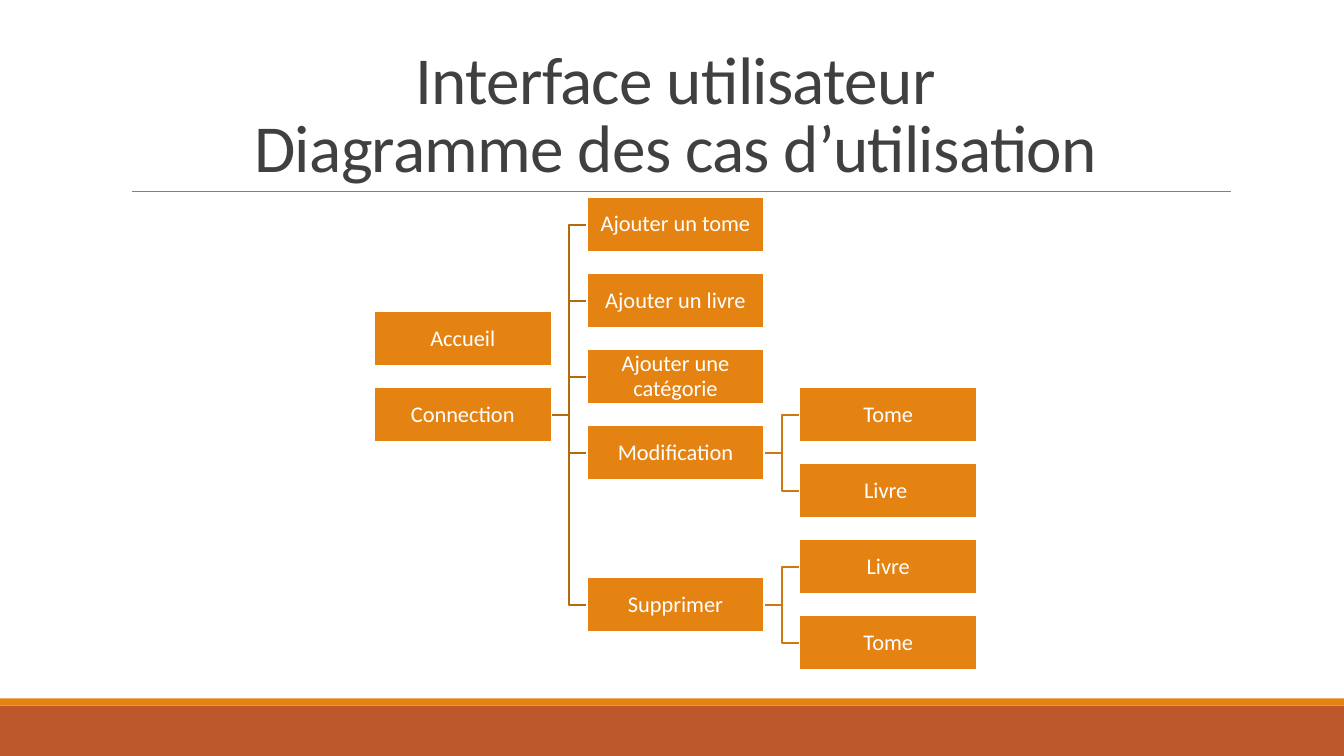
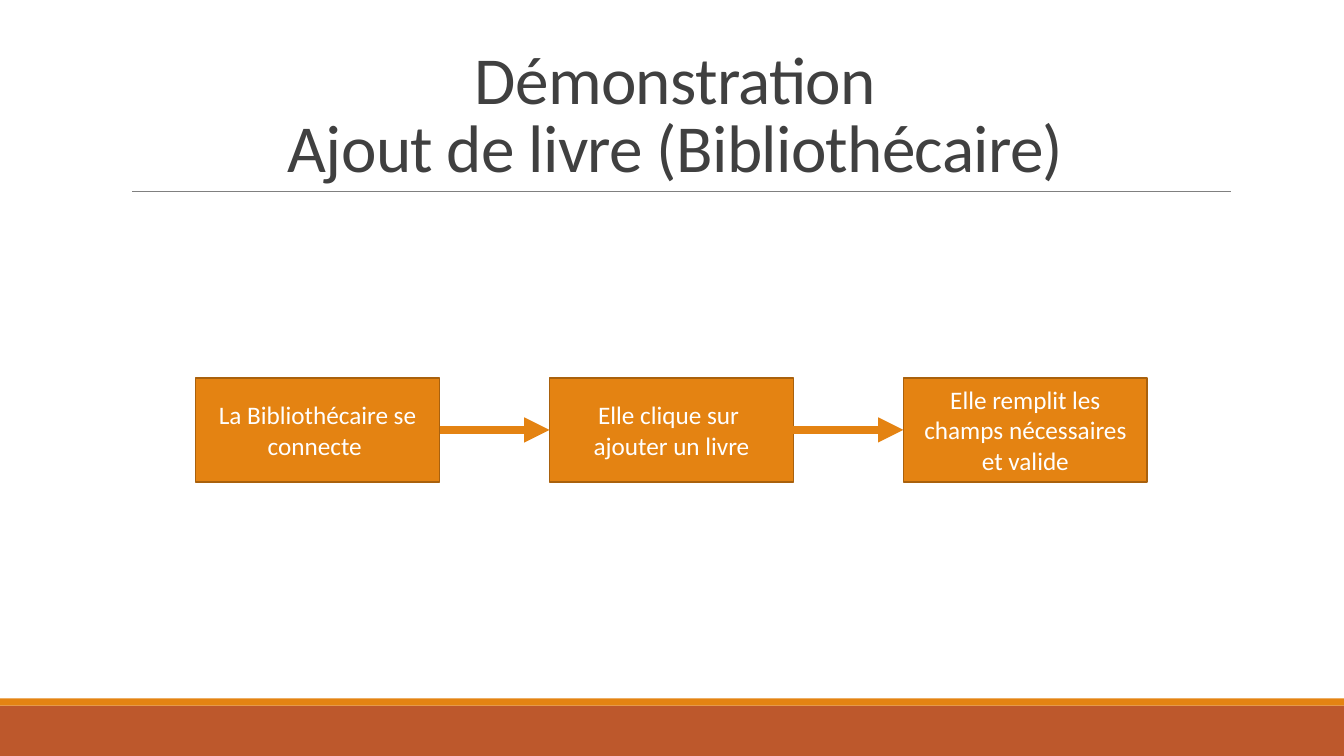
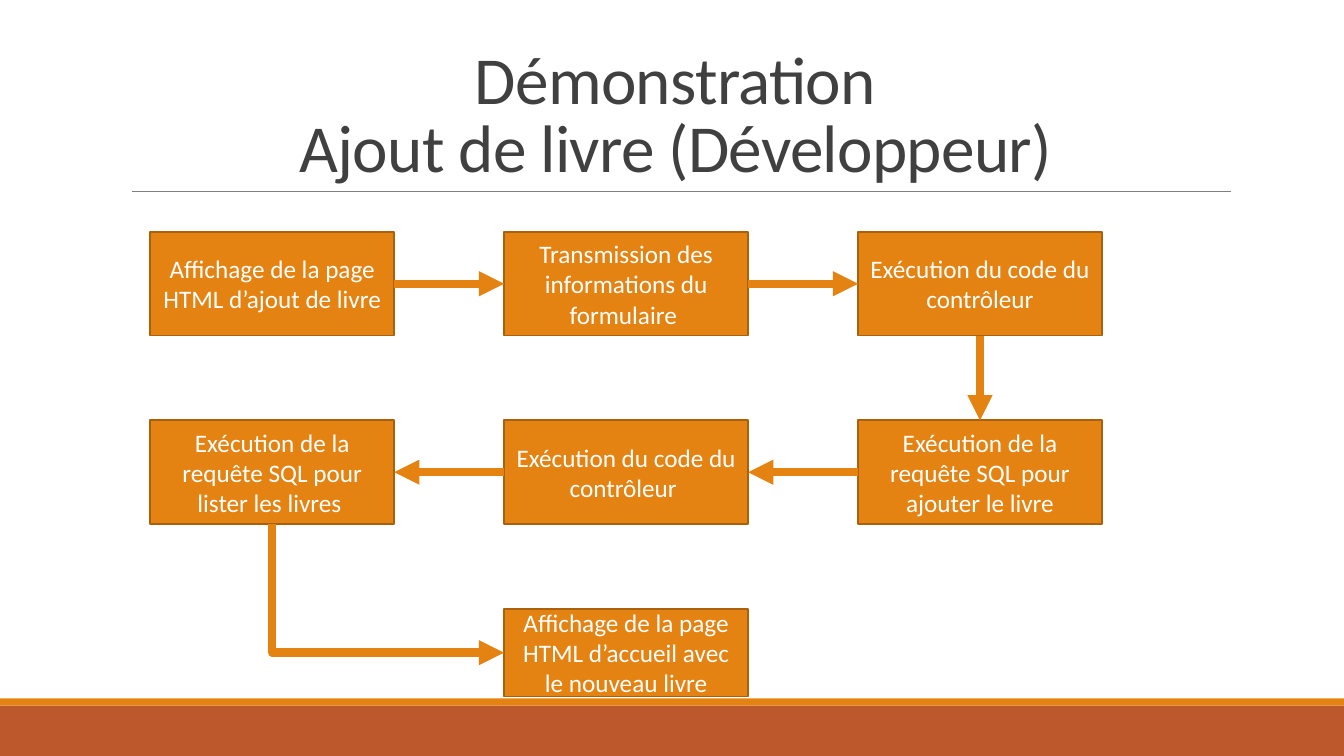
from itertools import pairwise

from lxml import etree
from pptx import Presentation
from pptx.dml.color import RGBColor
from pptx.enum.shapes import MSO_CONNECTOR, MSO_SHAPE
from pptx.enum.text import MSO_ANCHOR, MSO_AUTO_SIZE, PP_ALIGN
from pptx.oxml.ns import qn
from pptx.util import Inches, Pt

RECT = MSO_SHAPE.RECTANGLE
STRAIGHT, ELBOW = MSO_CONNECTOR.STRAIGHT, MSO_CONNECTOR.ELBOW
BOTTOM, MIDDLE = MSO_ANCHOR.BOTTOM, MSO_ANCHOR.MIDDLE
CENTER = PP_ALIGN.CENTER
NO_AUTOFIT = MSO_AUTO_SIZE.NONE
TITLE_ONLY = 5

# Connection sites of a rectangle
SITE_TOP, SITE_LEFT, SITE_BOTTOM, SITE_RIGHT = range(4)

FONT = "Calibri"
ORANGE, RUST, WHITE = "E48312", "BD582C", "FFFFFF"
TITLE_GREY, RULE_GREY = "404040", "808080"
BOX_EDGE = "A9610D"
LINK_COLORS = ("B7690E", "CF7710")

# Use case tree
TREE_LEFT, TREE_TOP = 3.71, 1.96
COLUMN_STEP, ROW_STEP = 2.11, 3.77 / 5
NODE_WIDTH, NODE_HEIGHT = 1.76, 0.54

# Process flow
STEP_X, STEP_Y = 3.51, 1.87
STEP_WIDTH, STEP_HEIGHT = 2.42, 1.03


def rgb(value):
    """Turn a hex string into a colour."""
    return RGBColor.from_string(value)


def write(frame, text, size=18, color=WHITE, spacing=None, line_spacing=None,
          anchor=MIDDLE, inset=None):
    """Write centred text; a newline starts a paragraph, a vertical tab a line."""
    frame.word_wrap = True
    frame.auto_size = NO_AUTOFIT
    frame.vertical_anchor = anchor
    if inset is not None:
        frame.margin_left = frame.margin_right = Inches(inset)
        frame.margin_top = frame.margin_bottom = Inches(inset)
    frame.text = text
    for para in frame.paragraphs:
        para.alignment = CENTER
        if line_spacing:
            para.line_spacing = line_spacing
        for span in para.runs:
            span.font.name = FONT
            span.font.size = Pt(size)
            span.font.color.rgb = rgb(color)
            if spacing is not None:
                span.font._element.set("spc", str(int(spacing * 100)))


class Slides:
    """Holds the deck, its shared layout and the current page."""

    def __init__(self):
        """Set the slide size and the title area."""
        self.deck = Presentation()
        self.deck.slide_width, self.deck.slide_height = Inches(13.33), Inches(7.5)
        self.layout = self.deck.slide_layouts[TITLE_ONLY]
        self.page = None
        title = self.layout.placeholders[0]
        title.left, title.top = Inches(1.2), Inches(0.31)
        title.width, title.height = Inches(11), Inches(1.59)

    def add_page(self, title):
        """Start a page with its title."""
        first = self.page is None
        self.page = self.deck.slides.add_slide(self.layout)
        if first:
            self.decorate_layout()
        write(self.page.shapes.title.text_frame, title, size=48, color=TITLE_GREY,
              spacing=-0.5, line_spacing=0.85, anchor=BOTTOM)

    def decorate_layout(self):
        """Draw the bands and the title rule and move them to the layout."""
        rule = self.line(STRAIGHT, RULE_GREY, 0.5, (1.31, 1.9), (12.21, 1.9))
        decor = (self.box(0, 7, 13.33, 0.5, fill=RUST),
                 self.box(0, 6.93, 13.33, 0.07), rule)
        for number, shape in enumerate(decor, start=100):
            shape.element.xpath("./*/p:cNvPr")[0].set("id", str(number))
            self.layout.shapes.element.append(shape.element)

    def box(self, left, top, width, height, text=None, fill=ORANGE, edge=None,
            **text_format):
        """Draw a filled rectangle, with text if given."""
        box = self.page.shapes.add_shape(
            RECT, Inches(left), Inches(top), Inches(width), Inches(height))
        box.shadow.inherit = False
        box.fill.solid()
        box.fill.fore_color.rgb = rgb(fill)
        if edge:
            box.line.color.rgb = rgb(edge)
            box.line.width = Pt(1.25)
        else:
            box.line.fill.background()
        if text:
            write(box.text_frame, text, **text_format)
        return box

    def line(self, kind, color, width, start=(0, 0), end=(0, 0)):
        """Draw a connector without shadow."""
        line = self.page.shapes.add_connector(
            kind, *(Inches(value) for value in (*start, *end)))
        line.line.color.rgb = rgb(color)
        line.line.width = Pt(width)
        etree.SubElement(line.element.spPr, qn("a:effectLst"))
        return line

    def arrow(self, source, source_site, target, target_site, kind=STRAIGHT):
        """Join two boxes with a thick arrow."""
        arrow = self.line(kind, ORANGE, 6)
        arrow.begin_connect(source, source_site)
        arrow.end_connect(target, target_site)
        outline = arrow.element.spPr.find(qn("a:ln"))
        etree.SubElement(outline, qn("a:tailEnd"), type="triangle")
        return arrow

    def corner_arrow(self, source, target):
        """Lead an arrow down from one box, then right into another."""
        arrow = self.arrow(source, SITE_BOTTOM, target, SITE_LEFT, kind=ELBOW)
        width, height = arrow.width, arrow.height
        shift = (width - height) // 2
        arrow.left, arrow.top = arrow.left + shift, arrow.top - shift
        arrow.width, arrow.height = height, width
        properties = arrow.element.spPr
        properties.find(qn("a:prstGeom")).set("prst", "bentConnector2")
        frame = properties.find(qn("a:xfrm"))
        frame.set("rot", str(270 * 60000))
        frame.set("flipH", "1")

    def node(self, column, row, text):
        """Draw a box of the tree."""
        left, top = node_corner(column, row)
        self.box(left, top, NODE_WIDTH, NODE_HEIGHT, text, edge=WHITE,
                 size=16, line_spacing=0.9, inset=0.01)

    def link(self, column, row, child_row):
        """Draw the bent line from a node to a child in the next column."""
        left, top = node_corner(column, row)
        start_x, start_y = left + NODE_WIDTH, top + NODE_HEIGHT / 2
        end_x, child_top = node_corner(column + 1, child_row)
        end_y = child_top + NODE_HEIGHT / 2
        middle = (start_x + end_x) / 2
        builder = self.page.shapes.build_freeform(Inches(start_x), Inches(start_y))
        points = ((middle, start_y), (middle, end_y), (end_x, end_y))
        builder.add_line_segments(
            [(Inches(x), Inches(y)) for x, y in points], close=False)
        link = builder.convert_to_shape()
        link.shadow.inherit = False
        link.fill.background()
        link.line.color.rgb = rgb(LINK_COLORS[column])
        link.line.width = Pt(1.25)

    def step(self, left, top, text, height=STEP_HEIGHT):
        """Draw a box of a process."""
        return self.box(left, top, STEP_WIDTH, height, text, edge=BOX_EDGE)

    def step_row(self, left, top, texts):
        """Draw a row of process boxes from left to right."""
        return [self.step(left + index * STEP_X, top, text)
                for index, text in enumerate(texts)]


def node_corner(column, row):
    """Give the top left corner of a tree box."""
    return TREE_LEFT + column * COLUMN_STEP, TREE_TOP + row * ROW_STEP


def use_case_page(slides):
    """Build the use case tree."""
    slides.add_page("Interface utilisateur\vDiagramme des cas d’utilisation")
    children = {(0, 2.5): (0, 1, 2, 3, 5), (1, 3): (2.5, 3.5), (1, 5): (4.5, 5.5)}
    for (column, row), child_rows in children.items():
        for child_row in child_rows:
            slides.link(column, row, child_row)
    nodes = (
        (0, 1.5, "Accueil"),
        (0, 2.5, "Connection"),
        (1, 0, "Ajouter un tome"),
        (1, 1, "Ajouter un livre"),
        (1, 2, "Ajouter une catégorie"),
        (1, 3, "Modification"),
        (2, 2.5, "Tome"),
        (2, 3.5, "Livre "),
        (1, 5, "Supprimer"),
        (2, 4.5, "Livre"),
        (2, 5.5, "Tome"),
    )
    for node in nodes:
        slides.node(*node)


def librarian_page(slides):
    """Build the librarian's process."""
    slides.add_page("Démonstration\vAjout de livre (Bibliothécaire)")
    steps = slides.step_row(1.94, 3.75, (
        "La Bibliothécaire se connecte ",
        "Elle clique sur \najouter un livre",
        "Elle remplit les champs nécessaires\net valide"))
    for source, target in pairwise(steps):
        slides.arrow(source, SITE_RIGHT, target, SITE_LEFT)


def developer_page(slides):
    """Build the developer's process, which runs right, down, left and down."""
    slides.add_page("Démonstration\vAjout de livre (Développeur)")
    left, top = 1.49, 2.3
    upper = slides.step_row(left, top, (
        "Affichage de la page HTML d’ajout de livre",
        "Transmission des informations du formulaire ",
        "Exécution du code du contrôleur"))
    lower = slides.step_row(left, top + STEP_Y, (
        "Exécution de la requête SQL pour lister les livres ",
        "Exécution du code du contrôleur ",
        "Exécution de la requête SQL pour ajouter le livre"))
    last = slides.step(left + STEP_X, top + 2 * STEP_Y,
                       "Affichage de la page HTML d’accueil avec le nouveau livre",
                       height=0.87)
    for source, target in pairwise(upper):
        slides.arrow(source, SITE_RIGHT, target, SITE_LEFT)
    slides.arrow(upper[-1], SITE_BOTTOM, lower[-1], SITE_TOP)
    for target, source in pairwise(lower):
        slides.arrow(source, SITE_LEFT, target, SITE_RIGHT)
    slides.corner_arrow(lower[0], last)


def main():
    """Build and save the deck."""
    slides = Slides()
    use_case_page(slides)
    librarian_page(slides)
    developer_page(slides)
    slides.deck.save("out.pptx")


main()
